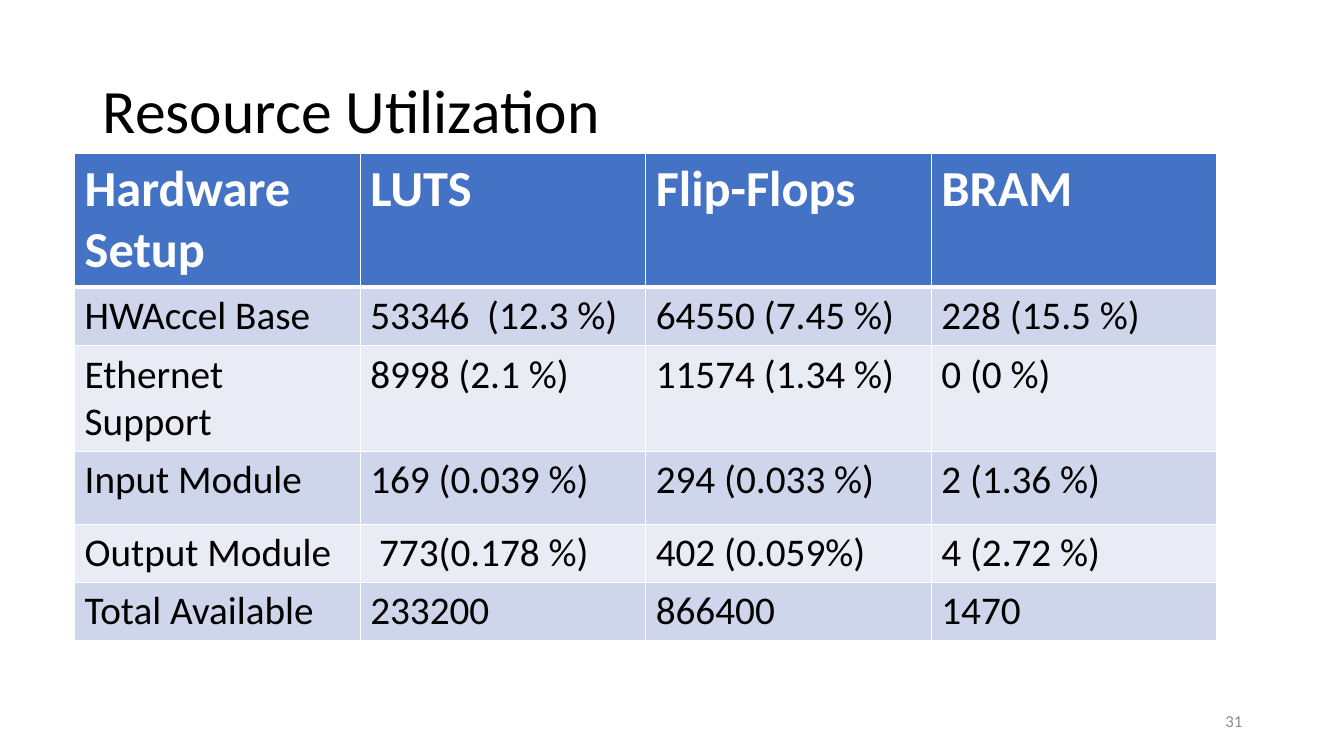
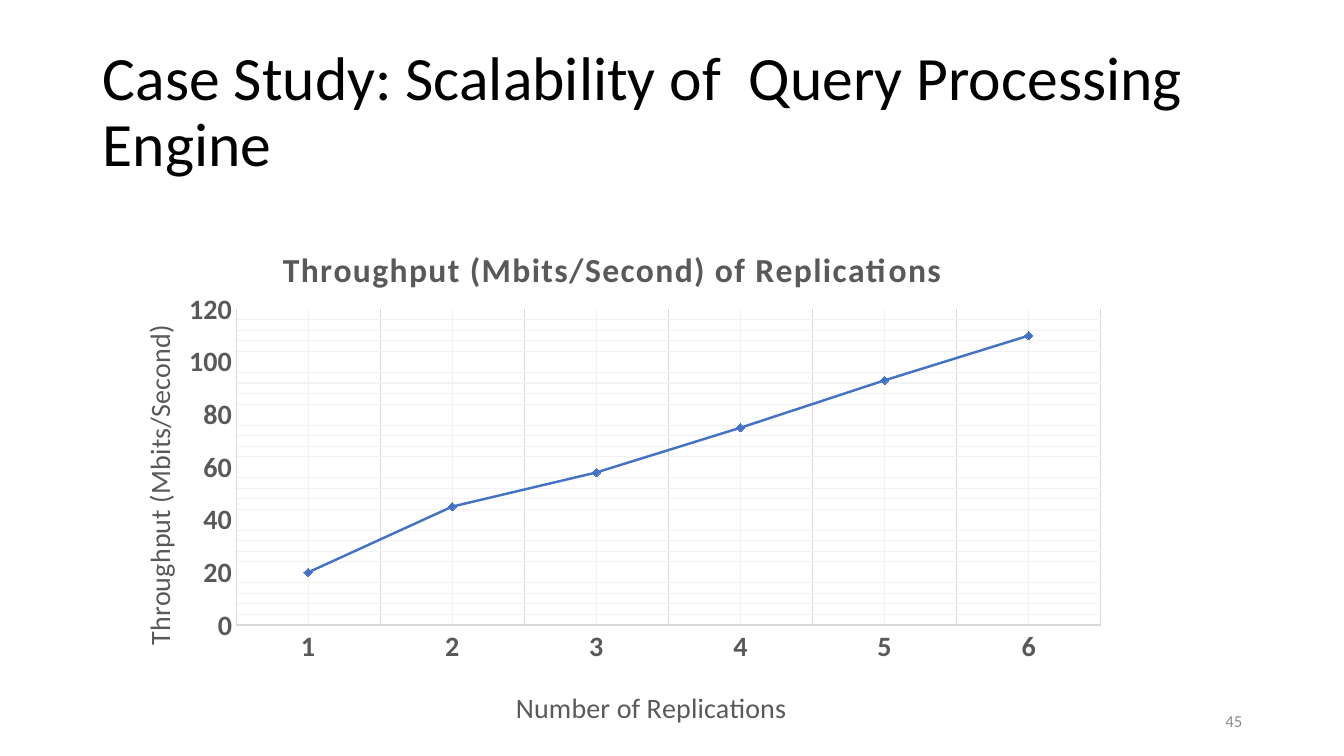
from dataclasses import dataclass

from lxml import etree
from pptx import Presentation
from pptx.chart.data import CategoryChartData
from pptx.dml.color import RGBColor
from pptx.enum.chart import XL_CHART_TYPE, XL_MARKER_STYLE, XL_TICK_MARK
from pptx.enum.text import MSO_ANCHOR, MSO_AUTO_SIZE, PP_ALIGN
from pptx.oxml.ns import qn
from pptx.util import Emu, Inches, Pt

LINE_MARKERS = XL_CHART_TYPE.LINE_MARKERS
DIAMOND = XL_MARKER_STYLE.DIAMOND
NO_TICKS = XL_TICK_MARK.NONE
MIDDLE = MSO_ANCHOR.MIDDLE
NO_AUTOFIT = MSO_AUTO_SIZE.NONE
LEFT, RIGHT = PP_ALIGN.LEFT, PP_ALIGN.RIGHT

SLIDE_WIDTH, SLIDE_HEIGHT = 13.33, 7.5
TITLE_ONLY = 5
FONT = "Calibri"
BLACK, WHITE, BLUE = "000000", "FFFFFF", "4472C4"
BANDS = ("CFD5EA", "E9EBF5")
PAGE_GREY, CHART_GREY, GRID, FINE_GRID = "8C8C8C", "595959", "D9D9D9", "F2F2F2"


@dataclass(frozen=True)
class Box:
    left: float
    top: float
    width: float
    height: float

    def emu(self) -> tuple:
        return tuple(Inches(v) for v in (self.left, self.top, self.width, self.height))


@dataclass(frozen=True)
class ChartLabel:
    text: str
    size: float
    x: float
    y: float
    bold: bool = False
    spacing: int = 0
    rotation: int = 0


TITLE_BOX = Box(0.92, 0.4, 11.5, 1.45)
PAGE_BOX = Box(9.42, 6.95, 3, 0.4)
TABLE_BOX = Box(0.74, 1.52, 11.33, 4.83)
CHART_BOX = Box(1.03, 2.13, 10.09, 5.22)
PLOT_SHARE = Box(0.13, 0.18, 0.85, 0.6)

ROW_HEIGHTS = (1.33, 0.58, 1.05, 0.72, 0.58, 0.57)
UTILIZATION = (
    ("Hardware Setup", "LUTS", "Flip-Flops", "BRAM"),
    ("HWAccel Base", "53346  (12.3 %)", "64550 (7.45 %)", "228 (15.5 %)"),
    ("Ethernet Support", "8998 (2.1 %)", "11574 (1.34 %)", "0 (0 %)"),
    ("Input Module", "169 (0.039 %)", "294 (0.033 %)", "2 (1.36 %)"),
    ("Output Module", " 773(0.178 %)", "402 (0.059%)", "4 (2.72 %)"),
    ("Total Available", "233200", "866400", "1470"),
)
THROUGHPUT = (20, 45, 58, 75, 93, 110)
CHART_TITLE = ChartLabel("Throughput (Mbits/Second) of Replications", 24, 0.17, 0.05, True, 100)
REPLICATIONS = ChartLabel("Number of Replications", 20, 0.4, 0.89)
MBITS = ChartLabel("Throughput (Mbits/Second)", 20, 0.03, 0.2, rotation=-5400000)


def rgb(color: str) -> RGBColor:
    return RGBColor.from_string(color)


def style_font(font, size: float, color: str, bold: bool = False) -> None:
    font.name = FONT
    font.size = Pt(size)
    font.bold = bold
    font.color.rgb = rgb(color)


def style_line(line, color: str, width: float = 0.75) -> None:
    line.color.rgb = rgb(color)
    line.width = Pt(width)


def add_line_xml(parent, tag: str, color: str, width: float):
    line = etree.SubElement(parent, qn(tag), w=str(Pt(width)))
    fill = etree.SubElement(line, qn("a:solidFill"))
    etree.SubElement(fill, qn("a:srgbClr"), val=color)
    return line


def write(frame, text: str, size: float, color: str, align=LEFT):
    frame.word_wrap = True
    frame.auto_size = NO_AUTOFIT
    frame.vertical_anchor = MIDDLE
    paragraph = frame.paragraphs[0]
    paragraph.text = text
    paragraph.alignment = align
    style_font(paragraph.font, size, color)
    return paragraph


def new_slide(deck, heading: str, page: int):
    slide = deck.slides.add_slide(deck.slide_layouts[TITLE_ONLY])
    title = slide.shapes.title
    title.left, title.top, title.width, title.height = TITLE_BOX.emu()
    write(title.text_frame, heading, 44, BLACK).line_spacing = 0.9
    number = slide.shapes.add_textbox(*PAGE_BOX.emu())
    write(number.text_frame, str(page), 12, PAGE_GREY, RIGHT)
    return slide


def border_cell(cell, bottom: float) -> None:
    properties = cell._tc.get_or_add_tcPr()
    edges = (("a:lnL", 1), ("a:lnR", 1), ("a:lnT", 1), ("a:lnB", bottom))
    for position, (edge, width) in enumerate(edges):
        properties.insert(position, add_line_xml(properties, edge, WHITE, width))


def add_utilization(slide) -> None:
    columns = len(UTILIZATION[0])
    table = slide.shapes.add_table(len(UTILIZATION), columns, *TABLE_BOX.emu()).table
    for column in table.columns:
        column.width = Emu(Inches(TABLE_BOX.width) // columns)
    for row, (height, entries) in enumerate(zip(ROW_HEIGHTS, UTILIZATION)):
        table.rows[row].height = Inches(height)
        header = row == 0
        for column, entry in enumerate(entries):
            cell = table.cell(row, column)
            cell.fill.solid()
            cell.fill.fore_color.rgb = rgb(BLUE if header else BANDS[(row - 1) % 2])
            paragraph = cell.text_frame.paragraphs[0]
            paragraph.text = entry
            style_font(paragraph.font, 36 if header else 28, WHITE if header else BLACK, header)
            border_cell(cell, 3 if header else 1)


def place(parent, position: int, **shares: float) -> None:
    for old in parent.findall(qn("c:layout")):
        parent.remove(old)
    layout = etree.Element(qn("c:layout"))
    manual = etree.SubElement(layout, qn("c:manualLayout"))
    if "w" in shares:
        etree.SubElement(manual, qn("c:layoutTarget"), val="inner")
    for mode in ("xMode", "yMode"):
        etree.SubElement(manual, qn(f"c:{mode}"), val="edge")
    for key, share in shares.items():
        etree.SubElement(manual, qn(f"c:{key}"), val=str(share))
    parent.insert(position, layout)


def label_chart(title, label: ChartLabel) -> None:
    frame = title.text_frame
    run = frame.paragraphs[0].add_run()
    run.text = label.text
    style_font(run.font, label.size, CHART_GREY, label.bold)
    run._r.get_or_add_rPr().set("spc", str(label.spacing))
    frame._txBody.find(qn("a:bodyPr")).set("rot", str(label.rotation))
    place(title._element, 1, x=label.x, y=label.y)


def style_axis(axis, label: ChartLabel, major_grid: bool) -> None:
    axis.major_tick_mark = axis.minor_tick_mark = NO_TICKS
    style_font(axis.tick_labels.font, 20, CHART_GREY, True)
    style_line(axis.format.line, GRID)
    axis.has_major_gridlines = major_grid
    if major_grid:
        style_line(axis.major_gridlines.format.line, GRID)
    axis.has_minor_gridlines = True
    fine_grid = axis._element.find(qn("c:minorGridlines"))
    add_line_xml(etree.SubElement(fine_grid, qn("c:spPr")), "a:ln", FINE_GRID, 0.75)
    label_chart(axis.axis_title, label)


def add_throughput(slide) -> None:
    data = CategoryChartData()
    data.categories = [str(n) for n in range(1, len(THROUGHPUT) + 1)]
    data.add_series("Series 1", THROUGHPUT)
    chart = slide.shapes.add_chart(LINE_MARKERS, *CHART_BOX.emu(), data).chart
    style_font(chart.font, 10, BLACK)
    chart.has_legend = False
    chart.has_title = True
    label_chart(chart.chart_title, CHART_TITLE)
    style_axis(chart.category_axis, REPLICATIONS, True)
    scale = chart.value_axis
    style_axis(scale, MBITS, False)
    scale.minimum_scale, scale.maximum_scale = 0, 120
    scale.major_unit, scale.minor_unit = 20, 4
    plot = chart.plots[0]
    plot.vary_by_categories = False
    throughput = plot.series[0]
    throughput.smooth = False
    style_line(throughput.format.line, BLUE, 1.75)
    marker = throughput.marker
    marker.style, marker.size = DIAMOND, 6
    marker.format.fill.solid()
    marker.format.fill.fore_color.rgb = rgb(BLUE)
    style_line(marker.format.line, BLUE)
    area = chart._chartSpace.chart.plotArea
    place(area, 0, x=PLOT_SHARE.left, y=PLOT_SHARE.top, w=PLOT_SHARE.width, h=PLOT_SHARE.height)


def main() -> None:
    deck = Presentation()
    deck.slide_width, deck.slide_height = Inches(SLIDE_WIDTH), Inches(SLIDE_HEIGHT)
    add_utilization(new_slide(deck, "Resource Utilization", 31))
    add_throughput(new_slide(deck, "Case Study: Scalability of  Query Processing Engine", 45))
    deck.save("out.pptx")


if __name__ == "__main__":
    main()
